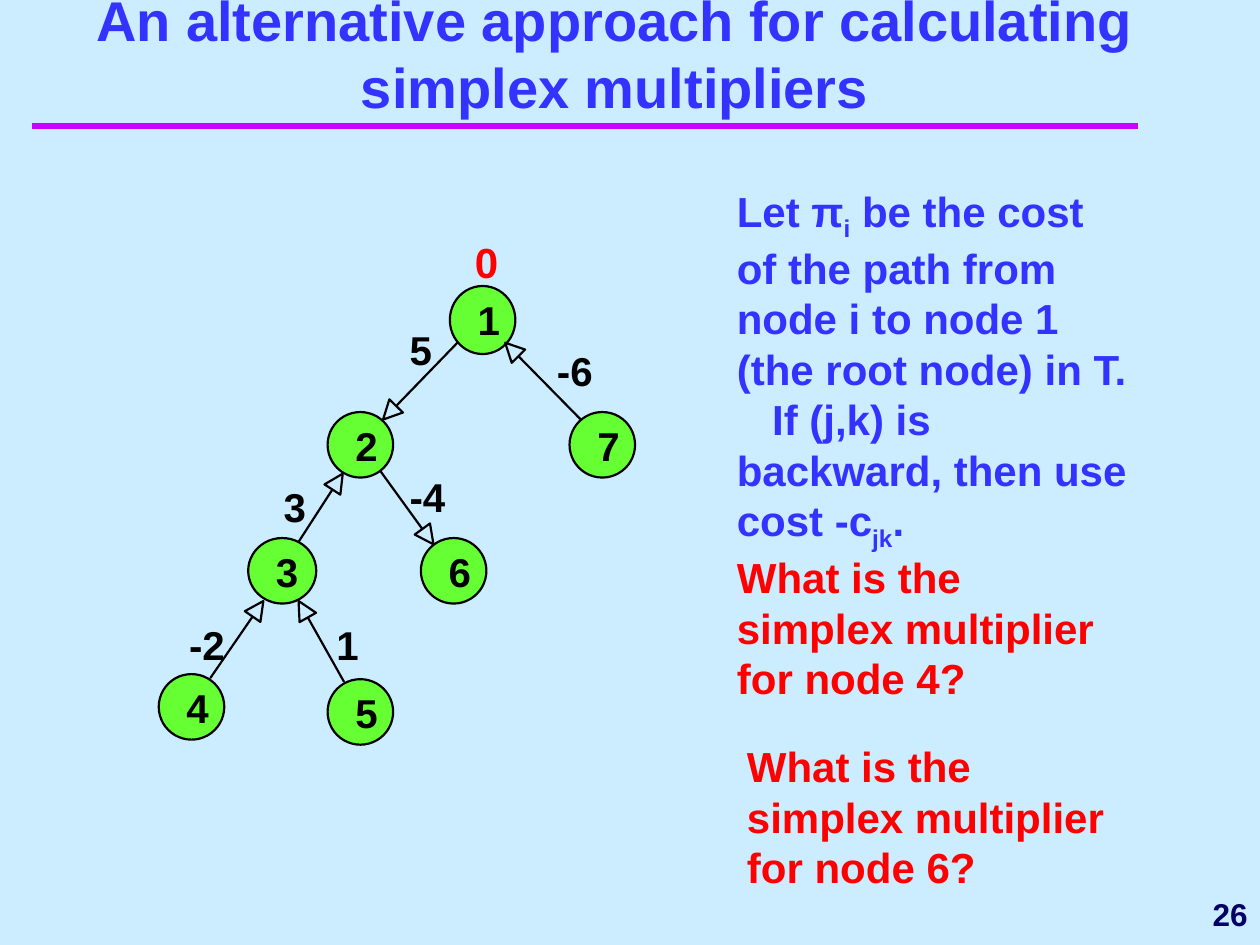
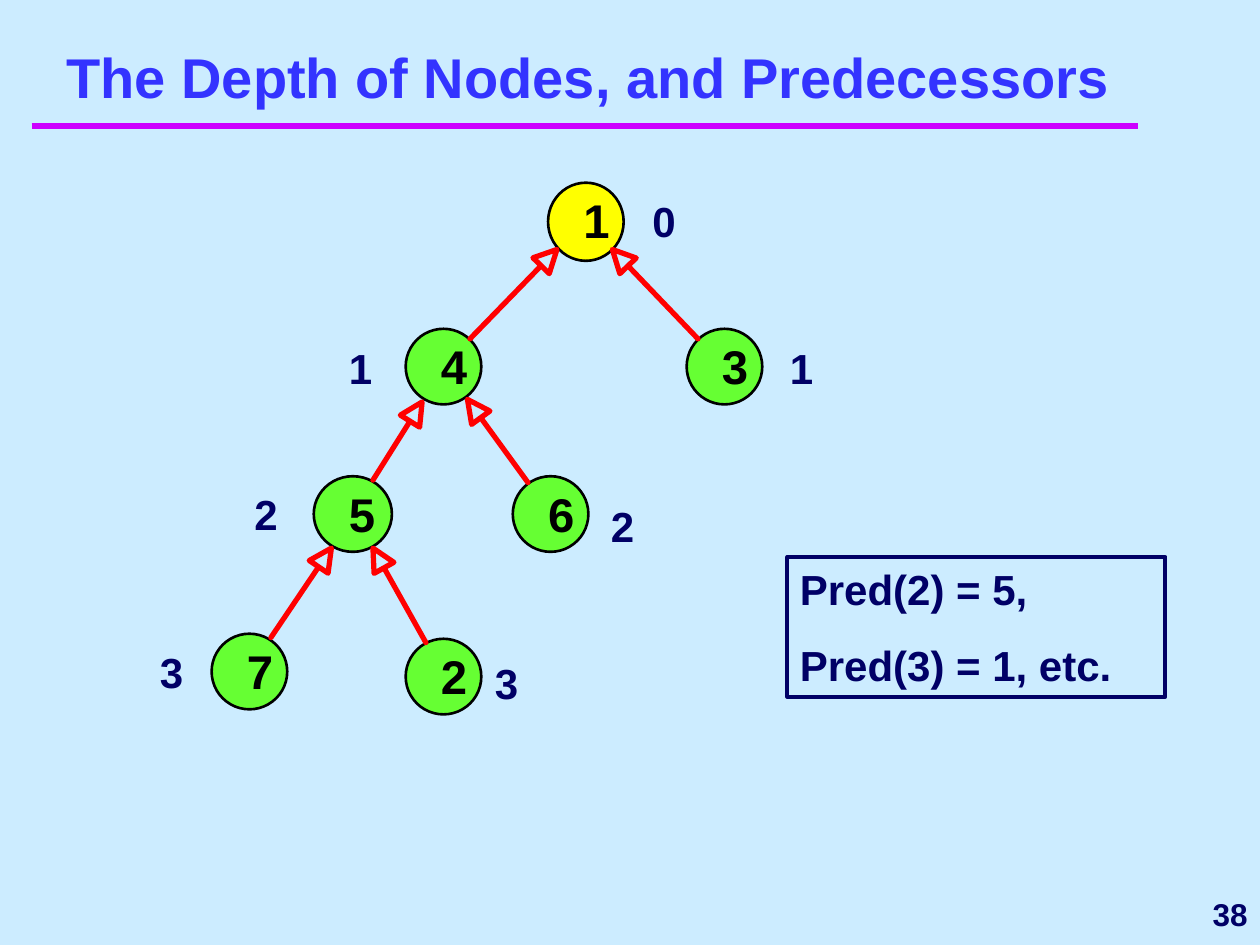
import math

from lxml import etree
from pptx import Presentation
from pptx.dml.color import RGBColor
from pptx.enum import shapes, text
from pptx.oxml.ns import qn
from pptx.util import Inches, Pt

FONT = "Arial"
COLORS = {
    "sky": "CCECFF",
    "band": "CC00FF",
    "blue": "3333FF",
    "navy": "000066",
    "green": "66FF33",
    "yellow": "FFFF00",
    "red": "FF0000",
    "black": "000000",
}


def color(name):
    return RGBColor.from_string(COLORS[name])


def place(*sizes):
    return [Inches(size) for size in sizes]


def outline(shape, name, width):
    shape.shadow.inherit = False
    shape.line.color.rgb = color(name)
    shape.line.width = Pt(width)


def fill_text(frame, paras, size, name, inset=0.1, align="LEFT", gap=0):
    frame.word_wrap = inset > 0
    frame.margin_left = frame.margin_right = Inches(inset)
    frame.margin_top = frame.margin_bottom = Inches(inset / 2)
    for index, runs in enumerate(paras):
        para = frame.add_paragraph() if index else frame.paragraphs[0]
        para.alignment = getattr(text.PP_ALIGN, align)
        if index and gap:
            para.space_before = Pt(gap)
        for part in [runs] if isinstance(runs, str) else runs:
            run = para.add_run()
            run.text = part.lstrip("_")
            if part.startswith("_"):
                run.font._element.set("baseline", "-25000")
        font = para.font
        font.name, font.size, font.bold = FONT, Pt(size), True
        font.color.rgb = color(name)


def add_text(slide, box, paras, size, name, anchor="TOP", **style):
    frame = slide.shapes.add_textbox(*place(*box)).text_frame
    frame.vertical_anchor = getattr(text.MSO_ANCHOR, anchor)
    fill_text(frame, paras, size, name, **style)
    return frame


def add_base(deck, title, box, page):
    slide = deck.slides.add_slide(deck.slide_layouts[6])
    slide.background.fill.solid()
    slide.background.fill.fore_color.rgb = color("sky")
    band = slide.shapes.add_connector(
        shapes.MSO_CONNECTOR.STRAIGHT, *place(0.25, 1, 9.03, 1))
    band.line.color.rgb = color("band")
    band.line.width = Pt(4)
    etree.SubElement(band._element.spPr, qn("a:effectLst"))
    add_text(slide, (8.08, 7, 1.92, 0.5), [page], 18, "navy",
             anchor="MIDDLE", align="RIGHT")
    add_text(slide, box, [title], 32, "blue", anchor="BOTTOM", align="CENTER")
    return slide


def add_node(slide, label, left, top, side, size, fill="green"):
    wide, high = side if isinstance(side, tuple) else (side, side)
    disc = slide.shapes.add_shape(
        shapes.MSO_SHAPE.OVAL, *place(left, top, wide, high))
    disc.fill.solid()
    disc.fill.fore_color.rgb = color(fill)
    outline(disc, "black", 1.25 if size < 25 else 1.5)
    shift = 0.22 if size < 25 else 0.28
    add_label(slide, label, left + shift, top + 0.07, size)


def add_label(slide, label, left, top, size):
    box = (left, top, size * len(label) / 128, size / 60)
    add_text(slide, box, [label], size, "black", inset=0)


def add_arrow(slide, tail, tip, name, width, head):
    span = math.dist(tail, tip)
    dx, dy = ((b - a) / span for a, b in zip(tail, tip))
    neck = (tip[0] - dx * head, tip[1] - dy * head)
    half = head / 2
    left = (neck[0] + dy * half, neck[1] - dx * half)
    right = (neck[0] - dy * half, neck[1] + dx * half)
    path = [place(*point) for point in (neck, left, tip, right, neck)]
    pen = slide.shapes.build_freeform(*place(*tail))
    pen.add_line_segments(path, close=True)
    arrow = pen.convert_to_shape()
    arrow.fill.background()
    outline(arrow, name, width)


def add_costs(deck):
    slide = add_base(deck, "An alternative approach for calculating simplex multipliers",
                     (0.42, 0.58, 8.92, 0.42), "26")
    nodes = [
        ("1", 3.57, 2.27, (0.52, 0.54)),
        ("2", 2.6, 3.27, 0.52),
        ("7", 4.52, 3.27, 0.52),
        ("3", 1.97, 4.27, (0.54, 0.52)),
        ("6", 3.34, 4.27, 0.52),
        ("4", 1.26, 5.35, 0.52),
        ("5", 2.6, 5.39, 0.52),
    ]
    for node in nodes:
        add_node(slide, *node, 23)
    costs = [
        ("5", 3.25, 2.58), ("-6", 4.42, 2.75), ("-2", 1.5, 4.92),
        ("-4", 3.25, 3.75), ("1", 2.67, 4.92), ("3", 2.25, 3.83),
    ]
    for cost in costs:
        add_label(slide, *cost, 23)
    arcs = [
        ((3.63, 2.72), (3.04, 3.33)),
        ((2.37, 4.3), (2.72, 3.76)),
        ((1.67, 5.38), (2.09, 4.77)),
        ((2.73, 5.41), (2.37, 4.77)),
        ((3.02, 3.74), (3.44, 4.32)),
        ((4.61, 3.33), (4.01, 2.72)),
    ]
    for arc in arcs:
        add_arrow(slide, *arc, "black", 1.25, 0.15)
    for node, left, top in (("4", 5.75, 4.33), ("6", 5.83, 5.83)):
        add_text(slide, (left, top, 3.25, 1.3),
                 [f"What is the simplex multiplier for node {node}?"], 24, "red")
    rule = [
        ["Let π", "_i", " be the cost of the path from node i to node 1 "
         "(the root node) in T."],
        ["If (j,k) is backward, then use cost -c", "_jk", "."],
    ]
    frame = add_text(slide, (5.75, 1.42, 3.33, 3.01), rule, 24, "blue")
    frame.paragraphs[1]._p.get_or_add_pPr().set("indent", str(Inches(0.28)))
    add_text(slide, (3.67, 1.83, 1, 0.5), ["0"], 24, "red")


def add_depths(deck):
    slide = add_base(deck, "The Depth of Nodes, and Predecessors",
                     (0.42, 0.17, 8.5, 0.75), "38")
    nodes = [
        ("1", 4.35, 1.45, (0.6, 0.62), 27, "yellow"),
        ("4", 3.22, 2.61, 0.6, 27),
        ("3", 5.45, 2.61, 0.6, 27),
        ("5", 2.49, 3.78, (0.62, 0.6), 27),
        ("6", 4.07, 3.78, 0.6, 27),
        ("7", 1.68, 5.03, 0.6, 27),
        ("2", 3.22, 5.07, 0.6, 27),
    ]
    for node in nodes:
        add_node(slide, *node)
    arcs = [
        ((3.73, 2.69), (4.42, 1.98)),
        ((2.96, 3.81), (3.35, 3.19)),
        ((2.15, 5.06), (2.63, 4.35)),
        ((3.38, 5.1), (2.96, 4.35)),
        ((4.19, 3.83), (3.71, 3.17)),
        ((5.54, 2.69), (4.86, 1.98)),
    ]
    for arc in arcs:
        add_arrow(slide, *arc, "red", 3, 0.18)
    frame = slide.shapes.add_shape(
        shapes.MSO_SHAPE.RECTANGLE, *place(6.25, 4.42, 3, 1.11))
    frame.fill.background()
    outline(frame, "navy", 2.25)
    frame.text_frame.vertical_anchor = text.MSO_ANCHOR.TOP
    fill_text(frame.text_frame, ["Pred(2) = 5,", "Pred(3) = 1, etc."],
              24, "navy", gap=15)
    depths = [
        ("0", 5.08, 1.5), ("1", 6.17, 2.67), ("1", 2.67, 2.67),
        ("2", 1.92, 3.83), ("2", 4.75, 3.92), ("3", 1.17, 5.08),
        ("3", 3.83, 5.17),
    ]
    for depth, left, top in depths:
        add_text(slide, (left, top, 0.92, 0.5), [depth], 24, "navy")


def main():
    deck = Presentation()
    deck.slide_width, deck.slide_height = place(10, 7.5)
    add_costs(deck)
    add_depths(deck)
    deck.save("out.pptx")


if __name__ == "__main__":
    main()
